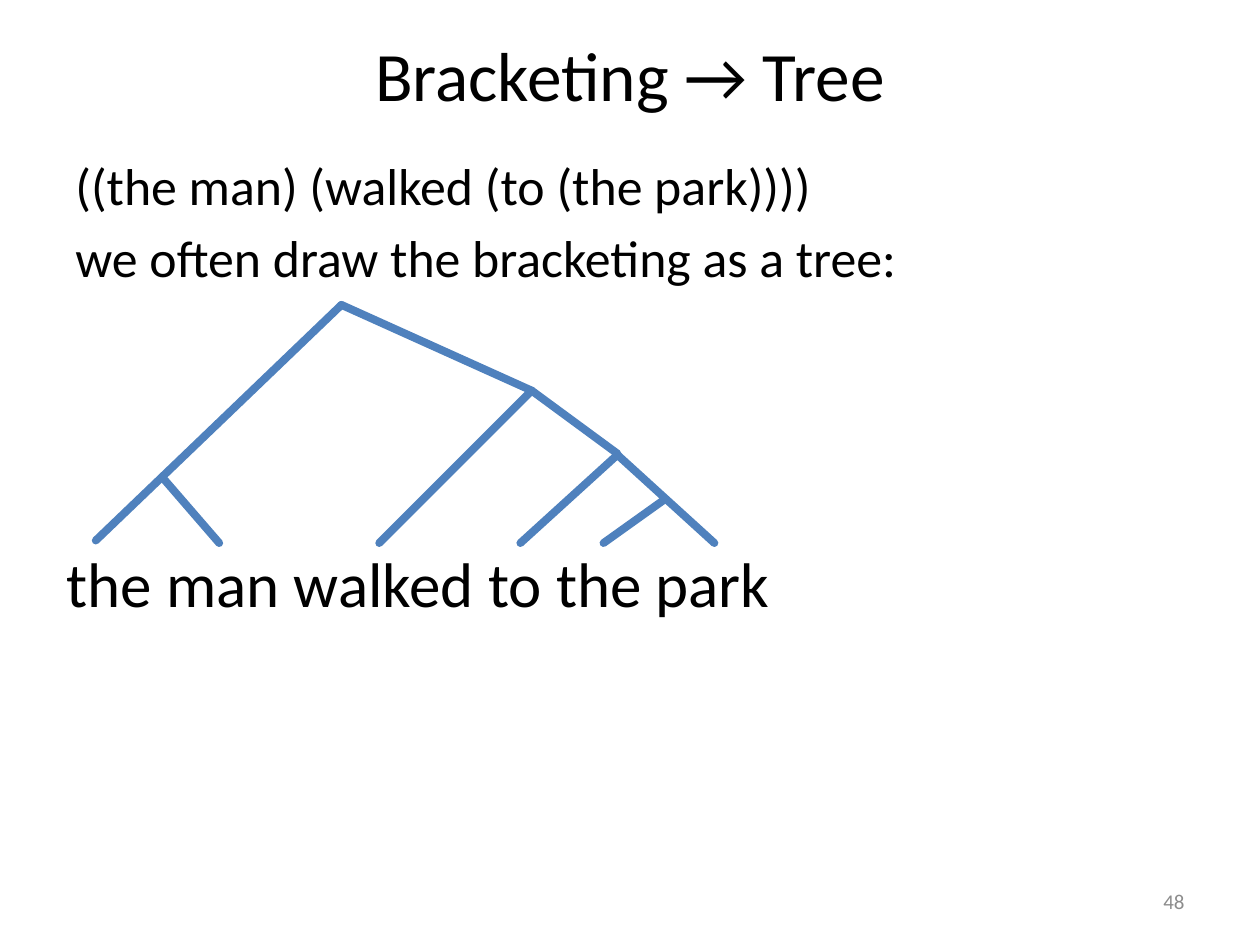
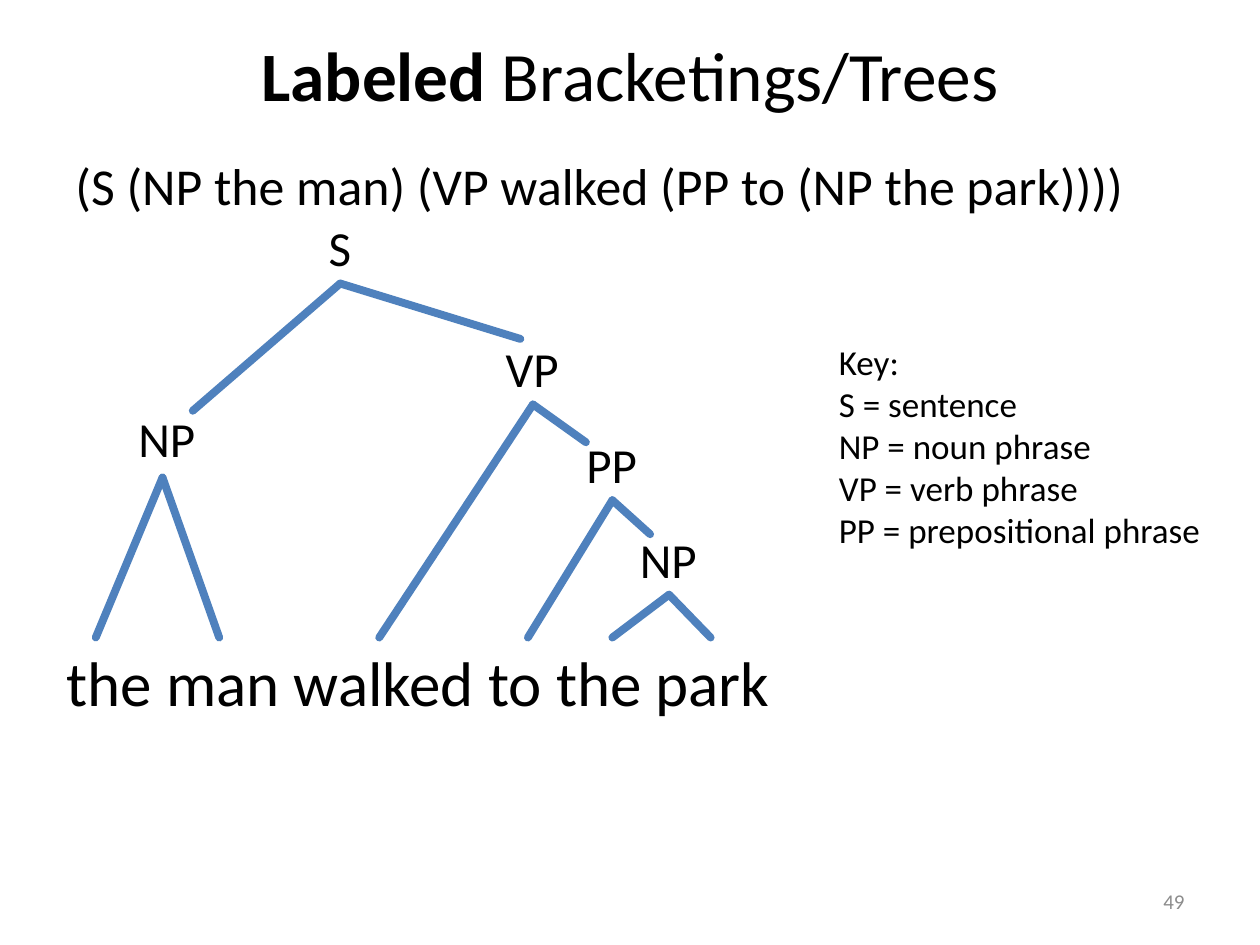
from dataclasses import dataclass

from pptx import Presentation
from pptx.dml.color import RGBColor
from pptx.enum.shapes import MSO_CONNECTOR as Connector
from pptx.enum.text import MSO_ANCHOR as Anchor, PP_ALIGN as Align
from pptx.oxml.ns import qn
from pptx.slide import Slide
from pptx.util import Inches, Pt
from lxml.etree import SubElement

BLACK = RGBColor(0x00, 0x00, 0x00)
GRAY = RGBColor(0x8C, 0x8C, 0x8C)
BLUE = RGBColor(0x4F, 0x81, 0xBD)
FONT = "Calibri"
SENTENCE = "the man walked to the park"
LABEL_HEIGHT = 0.57

Point = tuple[float, float]


@dataclass(frozen=True)
class TextStyle:
    size: float
    color: RGBColor = BLACK
    align: Align = Align.LEFT
    anchor: Anchor = Anchor.TOP
    wrap: bool = True
    space_before: float = 0


TITLE = TextStyle(39.6, align=Align.CENTER, anchor=Anchor.MIDDLE)
BODY = TextStyle(29.6, space_before=5.9)
PAGE_NUMBER = TextStyle(12, GRAY, Align.RIGHT, Anchor.MIDDLE)
WORDS = TextStyle(36, wrap=False)
LABEL = TextStyle(28, wrap=False)
KEY = TextStyle(20, wrap=False)


@dataclass(frozen=True)
class Node:
    """A tree node: branches run from the apex, the label stands on it."""
    apex: Point
    ends: tuple[Point, ...]
    label: str = ""
    label_width: float = 0
    label_shift: Point = (0, 0)


@dataclass(frozen=True)
class TreeSlide:
    title: tuple[tuple[str, bool], ...]  # text and bold
    body: tuple[str, ...]
    body_height: float
    number: int
    words_top: float
    nodes: tuple[Node, ...]
    key: tuple[str, ...] = ()


BRACKETING = TreeSlide(
    title=(("Bracketing → Tree", False),),
    body=("((the man) (walked (to (the park))))",
          "we often draw the bracketing as a tree:"),
    body_height=1.07,
    number=48,
    words_top=4.27,
    nodes=(
        Node((2.71, 2.42), ((1.73, 3.36), (4.22, 3.1))),
        Node((1.73, 3.36), ((0.76, 4.29),)),
        Node((1.29, 3.79), ((1.74, 4.31),)),
        Node((4.22, 3.1), ((3.01, 4.31), (4.9, 3.6))),
        Node((4.9, 3.61), ((4.13, 4.31), (5.67, 4.31))),
        Node((5.28, 3.96), ((4.79, 4.31),)),
    ),
)

LABELED = TreeSlide(
    title=(("Labeled ", True), ("Bracketings/Trees", False)),
    body=("(S (NP the man) (VP walked (PP to (NP the park))))",),
    body_height=0.78,
    number=49,
    words_top=5.06,
    nodes=(
        Node((2.7, 2.25), ((1.53, 3.26), (4.13, 2.69)), "S", 0.38),
        Node((1.29, 3.79), ((0.76, 5.06), (1.74, 5.06)), "NP", 0.66, (0.04, -0.03)),
        Node((4.23, 3.21), ((3.01, 5.06), (4.65, 3.51)), "VP", 0.63),
        Node((4.86, 3.97), ((4.19, 5.06), (5.16, 4.24)), "PP", 0.61),
        Node((5.31, 4.72), ((4.86, 5.06), (5.64, 5.06)), "NP", 0.66),
    ),
    key=("Key:", "S = sentence", "NP = noun phrase", "VP = verb phrase",
         "PP = prepositional phrase"),
)


def add_text(slide: Slide, left: float, top: float, width: float, height: float,
             lines: tuple[tuple[tuple[str, bool], ...], ...], style: TextStyle) -> None:
    box = slide.shapes.add_textbox(Inches(left), Inches(top), Inches(width), Inches(height))
    frame = box.text_frame
    frame.word_wrap = style.wrap
    frame.vertical_anchor = style.anchor
    for index, runs in enumerate(lines):
        paragraph = frame.add_paragraph() if index else frame.paragraphs[0]
        paragraph.alignment = style.align
        if index:
            paragraph.space_before = Pt(style.space_before)
        paragraph.font.name = FONT
        paragraph.font.size = Pt(style.size)
        paragraph.font.color.rgb = style.color
        for text, bold in runs:
            run = paragraph.add_run()
            run.text = text
            if bold:
                run.font.bold = True


def plain(*texts: str) -> tuple[tuple[tuple[str, bool], ...], ...]:
    return tuple(((text, False),) for text in texts)


def add_branch(slide: Slide, start: Point, end: Point) -> None:
    branch = slide.shapes.add_connector(
        Connector.STRAIGHT, *(Inches(length) for length in start + end))
    branch.line.color.rgb = BLUE
    branch.line.width = Pt(4.5)
    # Round line ends, no shadow
    properties = branch.element.spPr
    properties.find(qn("a:ln")).set("cap", "rnd")
    SubElement(properties, qn("a:effectLst"))


def add_node(slide: Slide, node: Node) -> None:
    for end in node.ends:
        add_branch(slide, node.apex, end)
    if node.label:
        center, bottom = (a + b for a, b in zip(node.apex, node.label_shift))
        add_text(slide, center - node.label_width / 2, bottom - LABEL_HEIGHT,
                 node.label_width, LABEL_HEIGHT, plain(node.label), LABEL)


def add_tree_slide(presentation: Presentation, content: TreeSlide) -> None:
    slide = presentation.slides.add_slide(presentation.slide_layouts[6])
    # Title, bracketing and page number
    add_text(slide, 0.5, 0.19, 9, 0.79, (content.title,), TITLE)
    add_text(slide, 0.5, 1.17, 9, content.body_height, plain(*content.body), BODY)
    add_text(slide, 7.17, 6.95, 2.33, 0.4, plain(str(content.number)), PAGE_NUMBER)
    # Tree over the sentence
    for node in content.nodes:
        add_node(slide, node)
    add_text(slide, 0.43, content.words_top, 5.87, 0.71, plain(SENTENCE), WORDS)
    # Key to the labels
    if content.key:
        add_text(slide, 6.56, 2.65, 3.1, 2.12, plain(*content.key), KEY)


def main() -> None:
    presentation = Presentation()
    presentation.slide_width = Inches(10)
    presentation.slide_height = Inches(7.5)
    for content in (BRACKETING, LABELED):
        add_tree_slide(presentation, content)
    presentation.save("out.pptx")


if __name__ == "__main__":
    main()
